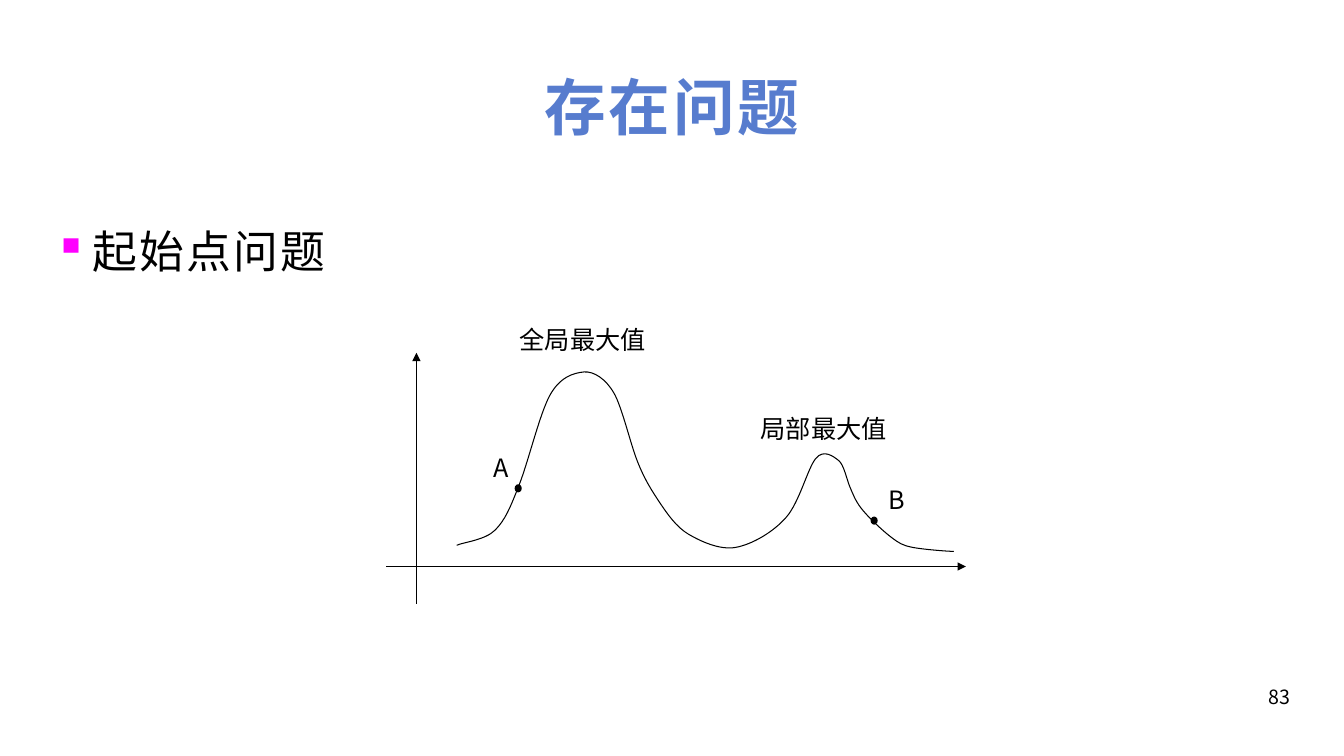
from lxml.etree import SubElement
from pptx import Presentation
from pptx.dml.color import RGBColor
from pptx.enum.shapes import MSO_CONNECTOR, MSO_SHAPE
from pptx.enum.text import MSO_ANCHOR, PP_ALIGN
from pptx.oxml.ns import qn
from pptx.util import Pt

PX = 9144  # EMU per px, 100 px to the inch
THEME = {
    "font": "Noto Sans CJK SC",
    "ink": RGBColor(0, 0, 0),
    "title": RGBColor(0x57, 0x7C, 0xCE),
    "bullet": "FF00FF",
    "line": Pt(0.75),
    "size": {"title": Pt(44), "body": Pt(32), "label": Pt(18), "number": Pt(14)},
}

prs = Presentation()
prs.slide_width, prs.slide_height = 1333 * PX, 750 * PX
s = prs.slides.add_slide(prs.slide_layouts[6])


def add_text(text, box, role, align, inset=10, spacing=0, **font):
    """Add a one-paragraph text box; spacing is in hundredths of a point."""
    tf = s.shapes.add_textbox(*(v * PX for v in box)).text_frame
    tf.word_wrap = True
    tf.margin_left = tf.margin_right = inset * PX
    p = tf.paragraphs[0]
    p.alignment = align
    r = p.add_run()
    r.text = text
    r.font.color.rgb = THEME["ink"]
    for name, value in {"size": THEME["size"][role], "name": THEME["font"], **font}.items():
        setattr(r.font, name, value)
    rPr = r.font._element
    SubElement(rPr, qn("a:ea")).set("typeface", THEME["font"])
    if spacing:
        rPr.set("spc", str(spacing))
    return tf


# Title and bullet
tf = add_text("存在问题", (44, 42, 1245, 125), "title", PP_ALIGN.CENTER, spacing=200, bold=True)
tf.vertical_anchor = MSO_ANCHOR.MIDDLE
tf.paragraphs[0].runs[0].font.color.rgb = THEME["title"]

tf = add_text("起始点问题", (44, 201, 1245, 458), "body", PP_ALIGN.LEFT, spacing=150)
p = tf.paragraphs[0]
p.line_spacing = 1.3
pPr = p._p.get_or_add_pPr()
pPr.set("marL", str(38 * PX))
pPr.set("indent", str(-38 * PX))
SubElement(SubElement(pPr, qn("a:buClr")), qn("a:srgbClr")).set("val", THEME["bullet"])
SubElement(pPr, qn("a:buChar")).set("char", "▪")

# Axes
for ends in [(383, 562, 958, 562), (413, 599, 413, 350)]:
    axis = s.shapes.add_connector(MSO_CONNECTOR.STRAIGHT, *(v * PX for v in ends))
    axis.line.color.rgb = THEME["ink"]
    axis.line.width = THEME["line"]
    SubElement(axis.line._get_or_add_ln(), qn("a:tailEnd")).set("type", "triangle")
    SubElement(axis._element.spPr, qn("a:effectLst"))

# Curve: a smooth spline through its knots
knots = [
    (453, 541), (491, 526), (515, 481), (545, 393), (579, 369), (609, 390),
    (632, 457), (654, 498), (683, 530), (730, 543), (780, 513), (809, 455),
    (832, 457), (843, 483), (854, 504), (884, 533), (905, 543), (946, 547),
]
fb = s.shapes.build_freeform(*knots[0], scale=PX)
fb.add_line_segments(knots[1:], close=False)
curve = fb.convert_to_shape()
curve.shadow.inherit = False
curve.fill.background()
curve.line.color.rgb = THEME["ink"]
curve.line.width = THEME["line"]

pts = [(int(pt.get("x")), int(pt.get("y"))) for pt in curve._element.iter(qn("a:pt"))]
pts = [pts[0], *pts, pts[-1]]
segments = list(curve._element.iter(qn("a:lnTo")))
for segment, before, start, end, after in zip(segments, pts, pts[1:], pts[2:], pts[3:]):
    leave = [b + (c - a) // 6 for a, b, c in zip(before, start, end)]
    arrive = [b - (c - a) // 6 for a, b, c in zip(start, end, after)]
    segment.clear()
    segment.tag = qn("a:cubicBezTo")
    for x, y in (leave, arrive, end):
        pt = SubElement(segment, qn("a:pt"))
        pt.set("x", str(x))
        pt.set("y", str(y))

# Starting points
for x, y in [(511, 481), (864, 513)]:
    dot = s.shapes.add_shape(MSO_SHAPE.OVAL, x * PX, y * PX, 6 * PX, 7 * PX)
    dot.shadow.inherit = False
    dot.fill.solid()
    dot.fill.fore_color.rgb = dot.line.color.rgb = THEME["ink"]
    dot.line.width = THEME["line"]

# Labels and slide number
for text, x, y, w in [
    ("A", 467, 444, 61),
    ("B", 859, 476, 61),
    ("全局最大值", 505, 317, 146),
    ("局部最大值", 744, 405, 146),
]:
    add_text(text, (x, y, w, 58), "label", PP_ALIGN.CENTER, inset=0)
add_text("83", (956, 675, 334, 52), "number", PP_ALIGN.RIGHT)

prs.save("out.pptx")
